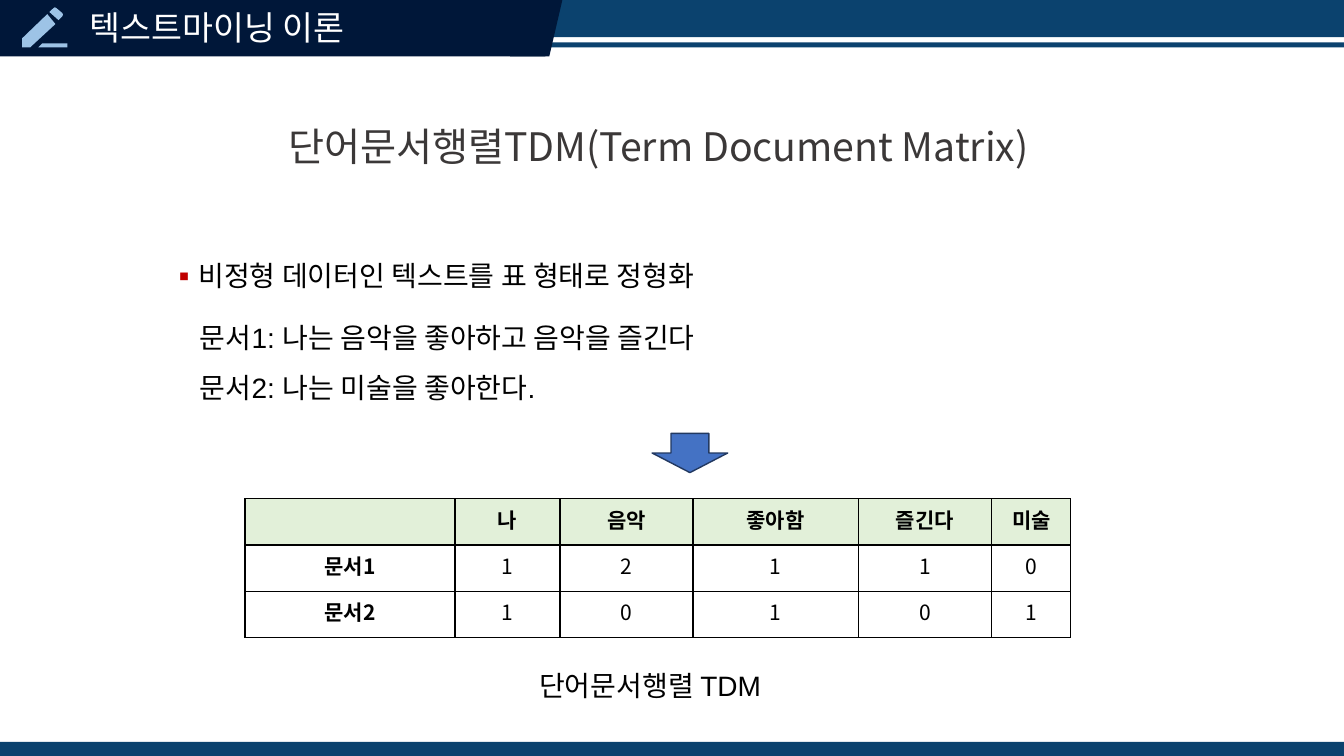
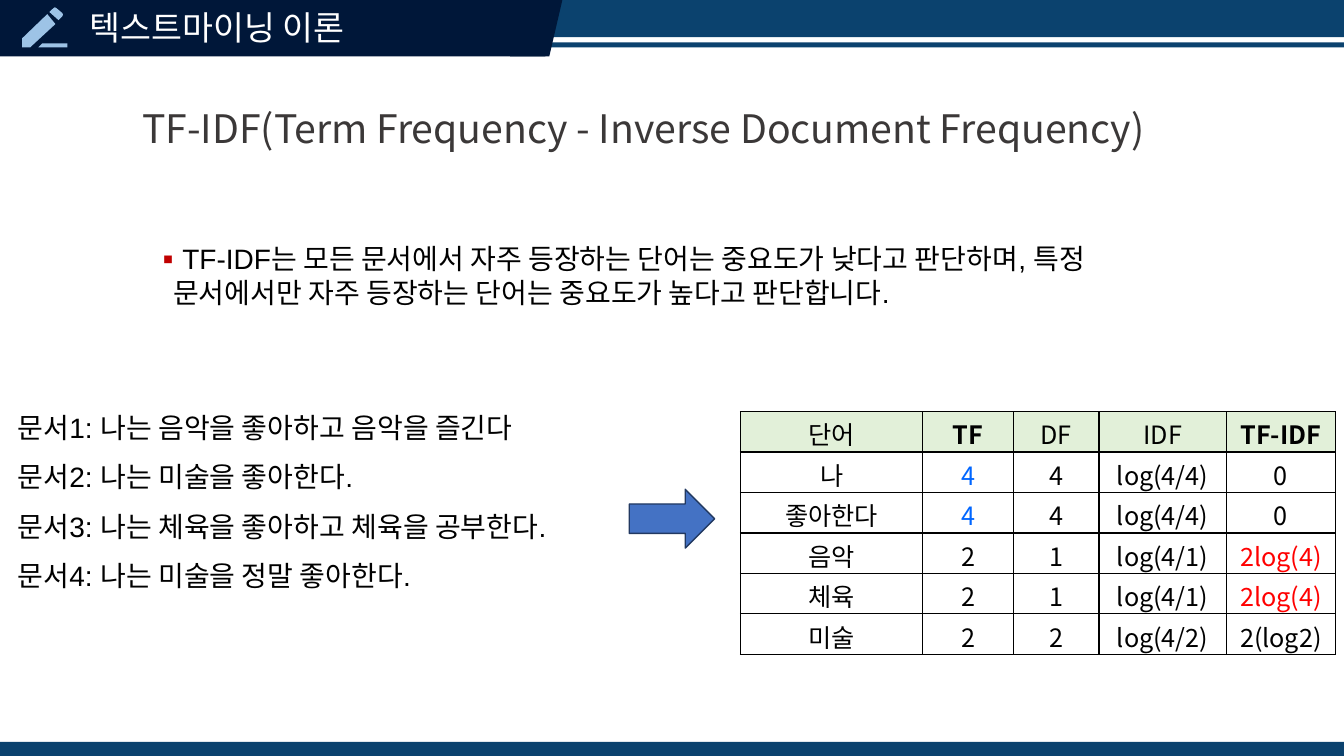
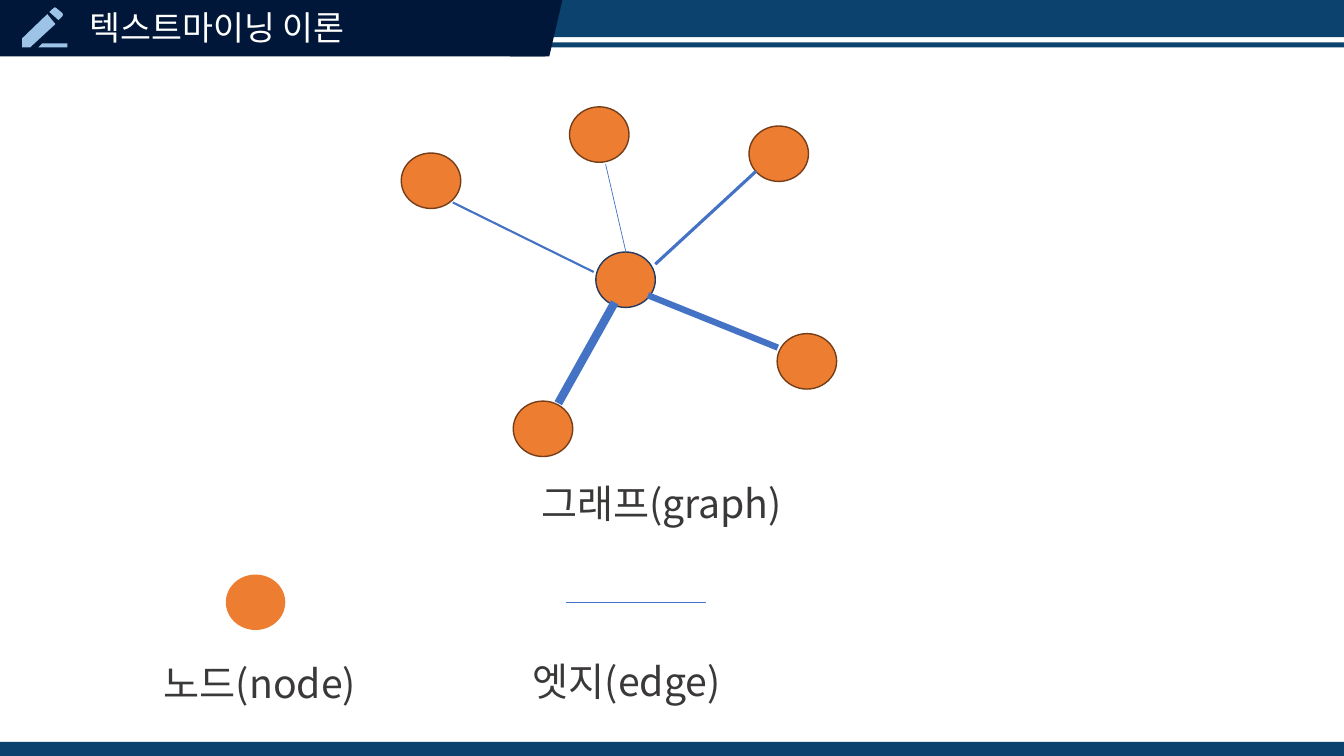
from dataclasses import dataclass

from lxml.etree import SubElement
from pptx import Presentation
from pptx.dml.color import RGBColor as RGB
from pptx.enum.shapes import MSO_CONNECTOR as LINE, MSO_SHAPE as SHAPE
from pptx.enum.text import MSO_ANCHOR as ANCHOR, MSO_AUTO_SIZE as FIT, PP_ALIGN as ALIGN
from pptx.oxml import parse_xml
from pptx.oxml.ns import nsdecls, qn
from pptx.util import Pt


@dataclass(frozen=True)
class Theme:
    """Colours, fonts and type sizes of the deck."""
    band: str = "0B426E"
    dark: str = "001739"
    icon: str = "9DC3E6"
    white: str = "FFFFFF"
    black: str = "000000"
    title: str = "3B3838"
    bullet: str = "C00000"
    blue: str = "4472C4"
    blue_edge: str = "223961"
    orange: str = "ED7D31"
    orange_edge: str = "763E18"
    head_fill: str = "E2F0D9"
    low: str = "0066FF"
    high: str = "FF0000"
    sans: str = "Noto Sans CJK KR"
    latin: str = "Arial"
    title_size: float = 28
    header_size: float = 24
    body_size: float = 20


T = Theme()
TITLE = dict(size=T.title_size, name=T.sans, color=T.title)
BODY = dict(size=T.body_size, name=T.latin, color=T.black)
HEADER = dict(size=T.header_size, name=T.sans, color=T.white)
PENCIL = [
    [(0, 224), (0, 288), (58, 288), (238, 122), (180, 51)],
    [(288, 65), (292, 55), (288, 44), (245, 8), (234, 2), (224, 8), (195, 36), (260, 94)],
    [(144, 260), (116, 288), (324, 288), (324, 260)],
]
NODE_SIZE = (42.5, 39.6)
HUB = (139, 103.7)
NODES = [(248.4, 13.7), (80, 210.2), (0, 33), (268.5, 162), (120.2, 0)]
EDGES = [
    ((146, 41), (160.5, 103.7), 0.5),
    ((181.5, 112.4), (253.5, 46), 2.25),
    ((137.5, 118), (36.8, 68.3), 1.5),
    ((152.5, 139.7), (112.2, 211.7), 6),
    ((176.2, 134.6), (269, 172), 4.5),
]
DOCS = ["문서1: 나는 음악을 좋아하고 음악을 즐긴다", "문서2: 나는 미술을 좋아한다."]
MORE_DOCS = ["문서3: 나는 체육을 좋아하고 체육을 공부한다.", "문서4: 나는 미술을 정말 좋아한다."]
TDM = [
    ["", "나", "음악", "좋아함", "즐긴다", "미술"],
    ["문서1", "1", "2", "1", "1", "0"],
    ["문서2", "1", "0", "1", "0", "1"],
]
TFIDF = [
    ["단어", "TF", "DF", "IDF", "TF-IDF"],
    ["나", "4", "4", "log(4/4)", "0"],
    ["좋아한다", "4", "4", "log(4/4)", "0"],
    ["음악", "2", "1", "log(4/1)", "2log(4)"],
    ["체육", "2", "1", "log(4/1)", "2log(4)"],
    ["미술", "2", "2", "log(4/2)", "2(log2)"],
]


def assign(obj, **fmt):
    """Set each format value on an object."""
    for key, value in fmt.items():
        setattr(obj, key, value)


def write(p, text, size, name, color, bold=False):
    """Add one formatted run to a paragraph."""
    r = p.add_run()
    r.text = text
    assign(r.font, size=Pt(size), name=name, bold=bold)
    r.font.color.rgb = RGB.from_string(color)
    SubElement(r._r.get_or_add_rPr(), qn("a:ea"), typeface=T.sans)


def place(sp, box):
    """Move a shape to a box in points."""
    assign(sp, **dict(zip(("left", "top", "width", "height"), map(Pt, box))))


def fill_text(sp, text, style, anchor=ANCHOR.TOP, spacing=1.0):
    """Write a single left-aligned paragraph into a shape."""
    tf = sp.text_frame
    assign(tf, word_wrap=True, auto_size=FIT.NONE, vertical_anchor=anchor)
    p = tf.paragraphs[0]
    assign(p, alignment=ALIGN.LEFT, line_spacing=spacing, space_before=Pt(0))
    write(p, text, **style)
    return p


def add_text(s, box, text, style, **layout):
    """Add a text box."""
    sp = s.shapes.add_textbox(*map(Pt, box))
    fill_text(sp, text, style, **layout)
    return sp


def paint(sp, fill, line=None):
    """Give a shape a flat fill and an optional outline."""
    sp.shadow.inherit = False
    sp.fill.solid()
    sp.fill.fore_color.rgb = RGB.from_string(fill)
    if line:
        sp.line.color.rgb = RGB.from_string(line)
        sp.line.width = Pt(1)
    else:
        sp.line.fill.background()
    return sp


def add_shape(s, kind, box, fill, line=None):
    """Add a painted preset shape."""
    return paint(s.shapes.add_shape(kind, *map(Pt, box)), fill, line)


def add_line(s, start, end, width):
    """Add a straight blue line."""
    ln = s.shapes.add_connector(LINE.STRAIGHT, *map(Pt, (*start, *end)))
    ln.line.color.rgb = RGB.from_string(T.blue)
    ln.line.width = Pt(width)
    SubElement(ln.element.spPr, qn("a:effectLst"))


def add_pencil(s, x, y):
    """Draw the pencil icon with its corner at a point."""
    (first, *rest), *others = PENCIL
    fb = s.shapes.build_freeform(*first, scale=Pt(0.1))
    fb.add_line_segments(rest)
    for start, *points in others:
        fb.move_to(*start)
        fb.add_line_segments(points)
    return paint(fb.convert_to_shape(Pt(x), Pt(y)), T.icon)


def add_bands(prs, s):
    """Draw the header and footer bands and hand them to the master."""
    parts = [add_shape(s, kind, box, fill) for kind, box, fill in (
        (SHAPE.RECTANGLE, (0, 530, 960, 10), T.band),
        (SHAPE.RECTANGLE, (0, 30.2, 960, 3.6), T.band),
        (SHAPE.RECTANGLE, (0, 0, 960, 26.6), T.band),
        (SHAPE.RECTANGLE, (0, 0, 389.5, 40.3), T.dark),
        (SHAPE.PARALLELOGRAM, (364.3, 0, 37.4, 40.3), T.dark),
    )]
    parts.append(add_text(s, (56.9, 0, 483.8, 41.8), "텍스트마이닝 이론", HEADER,
                          anchor=ANCHOR.MIDDLE, spacing=0.9))
    parts.append(add_pencil(s, 15.8, 5))
    tree = prs.slide_master.shapes.element
    for i, sp in enumerate(parts):
        next(sp.element.iter(qn("p:cNvPr"))).set("id", str(100 + i))
        tree.insert(2 + i, sp.element)


def add_title(s, box, text):
    """Fill the title placeholder."""
    place(s.shapes.title, box)
    fill_text(s.shapes.title, text, TITLE)


def add_bullet(s, box, text):
    """Fill the body placeholder with one square-bulleted point."""
    sp = s.placeholders[1]
    place(sp, box)
    pPr = fill_text(sp, text, BODY)._p.get_or_add_pPr()
    pPr.set("marL", str(Pt(13.5)))
    pPr.set("indent", str(Pt(-13.5)))
    SubElement(SubElement(pPr, qn("a:buClr")), qn("a:srgbClr"), val=T.bullet)
    SubElement(pPr, qn("a:buFont"), typeface=T.sans)
    SubElement(pPr, qn("a:buChar"), char="▪")


def add_docs(s, x, y, docs):
    """Stack the sample sentences at an equal pitch."""
    for i, doc in enumerate(docs):
        add_text(s, (x, y + 35.4 * i, 614, 31), doc, BODY)


def add_arrow(s, box, turn=0):
    """Add a block arrow turned by some degrees."""
    add_shape(s, SHAPE.RIGHT_ARROW, box, T.blue, T.blue_edge).rotation = turn


def add_grid(s, x, y, rows, widths, height, size, style, **cell_fmt):
    """Add a black-ruled table with a tinted head row."""
    frame = s.shapes.add_table(len(rows), len(widths), Pt(x), Pt(y),
                               Pt(sum(widths)), Pt(height * len(rows)))
    tbl = frame.table
    assign(tbl, first_row=False, horz_banding=False)
    for col, width in zip(tbl.columns, widths):
        col.width = Pt(width)
    for i, row in enumerate(rows):
        tbl.rows[i].height = Pt(height)
        for j, text in enumerate(row):
            cell = tbl.cell(i, j)
            assign(cell, **cell_fmt)
            cell.fill.solid()
            cell.fill.fore_color.rgb = RGB.from_string(T.white if i else T.head_fill)
            p = cell.text_frame.paragraphs[0]
            p.alignment = ALIGN.CENTER
            if text:
                base = dict(size=size, name=T.sans, color=T.black)
                write(p, text, **{**base, **style(i, j, text)})
    for tcPr in frame.element.iter(qn("a:tcPr")):
        for k, side in enumerate("LRTB"):
            tcPr.insert(k, parse_xml(
                f'<a:ln{side} {nsdecls("a")} w="{Pt(1)}"><a:solidFill>'
                f'<a:srgbClr val="{T.black}"/></a:solidFill></a:ln{side}>'))


def tdm_style(i, j, text):
    """Bold the head row and the head column."""
    return dict(bold=i == 0 or j == 0)


def tfidf_style(i, j, text):
    """Bold the key heads and colour the extreme scores."""
    if text in ("TF", "TF-IDF"):
        return dict(bold=True)
    if j == 1 and text == "4":
        return dict(color=T.low)
    return dict(color=T.high) if text == "2log(4)" else {}


def add_node(s, x, y, line=None):
    """Add one orange graph node."""
    add_shape(s, SHAPE.OVAL, (x, y, *NODE_SIZE), T.orange, line)


def add_graph(s, x, y):
    """Draw the hub, its neighbours and the weighted edges."""
    add_node(s, x + HUB[0], y + HUB[1], T.blue_edge)
    for dx, dy in NODES:
        add_node(s, x + dx, y + dy, T.orange_edge)
    for (ax, ay), (bx, by), width in EDGES:
        add_line(s, (x + ax, y + ay), (x + bx, y + by), width)


def add_legend(s, x, y):
    """Draw the node and edge samples with their labels."""
    add_node(s, x + 51.3, y)
    add_line(s, (x + 294, y + 19.6), (x + 394, y + 19.6), 0.5)
    add_text(s, (x, y + 57, 240, 41), "노드(node)", TITLE)
    add_text(s, (x + 263.6, y + 55.5, 240, 41), "엣지(edge)", TITLE)


def tdm_slide(s):
    """Build the term document matrix slide."""
    add_title(s, (198.7, 83.5, 643, 41), "단어문서행렬TDM(Term Document Matrix)")
    add_bullet(s, (114.5, 180.7, 614, 31.5), "비정형 데이터인 텍스트를 표 형태로 정형화")
    add_docs(s, 135.7, 225.4, DOCS)
    add_arrow(s, (478.8, 296.6, 28, 54), 90)
    add_grid(s, 175, 356.2, TDM, (150, 75, 95, 118, 95.5, 56.5), 33.1, 15, tdm_style)
    add_text(s, (378, 473.8, 580, 31.5), "단어문서행렬 TDM", BODY)


def tfidf_slide(s):
    """Build the TF-IDF slide."""
    add_title(s, (94.3, 70.6, 865, 41), "TF-IDF(Term Frequency - Inverse Document Frequency)")
    add_bullet(s, (103, 169.2, 737.3, 55.4),
               "TF-IDF는 모든 문서에서 자주 등장하는 단어는 중요도가 낮다고 판단하며, "
               "특정 문서에서만 자주 등장하는 단어는 중요도가 높다고 판단합니다.")
    add_docs(s, 5.5, 289.4, DOCS + MORE_DOCS)
    add_arrow(s, (449.5, 349.5, 61, 42))
    add_grid(s, 529, 294, TFIDF, (130, 65, 61, 91, 78), 28.9, 18, tfidf_style,
             vertical_anchor=ANCHOR.BOTTOM, margin_left=Pt(3), margin_right=Pt(3),
             margin_top=Pt(2.8), margin_bottom=Pt(0))


def graph_slide(s):
    """Build the graph slide."""
    add_title(s, (379.4, 338.4, 244, 41), "그래프(graph)")
    add_graph(s, 286.6, 76.3)
    add_legend(s, 110, 410.4)


def main():
    """Build and save the deck."""
    prs = Presentation()
    assign(prs, slide_width=Pt(960), slide_height=Pt(540))
    for i, (layout, build) in enumerate(((1, tdm_slide), (1, tfidf_slide), (5, graph_slide))):
        s = prs.slides.add_slide(prs.slide_layouts[layout])
        if i == 0:
            add_bands(prs, s)
        build(s)
    prs.save("out.pptx")


if __name__ == "__main__":
    main()
